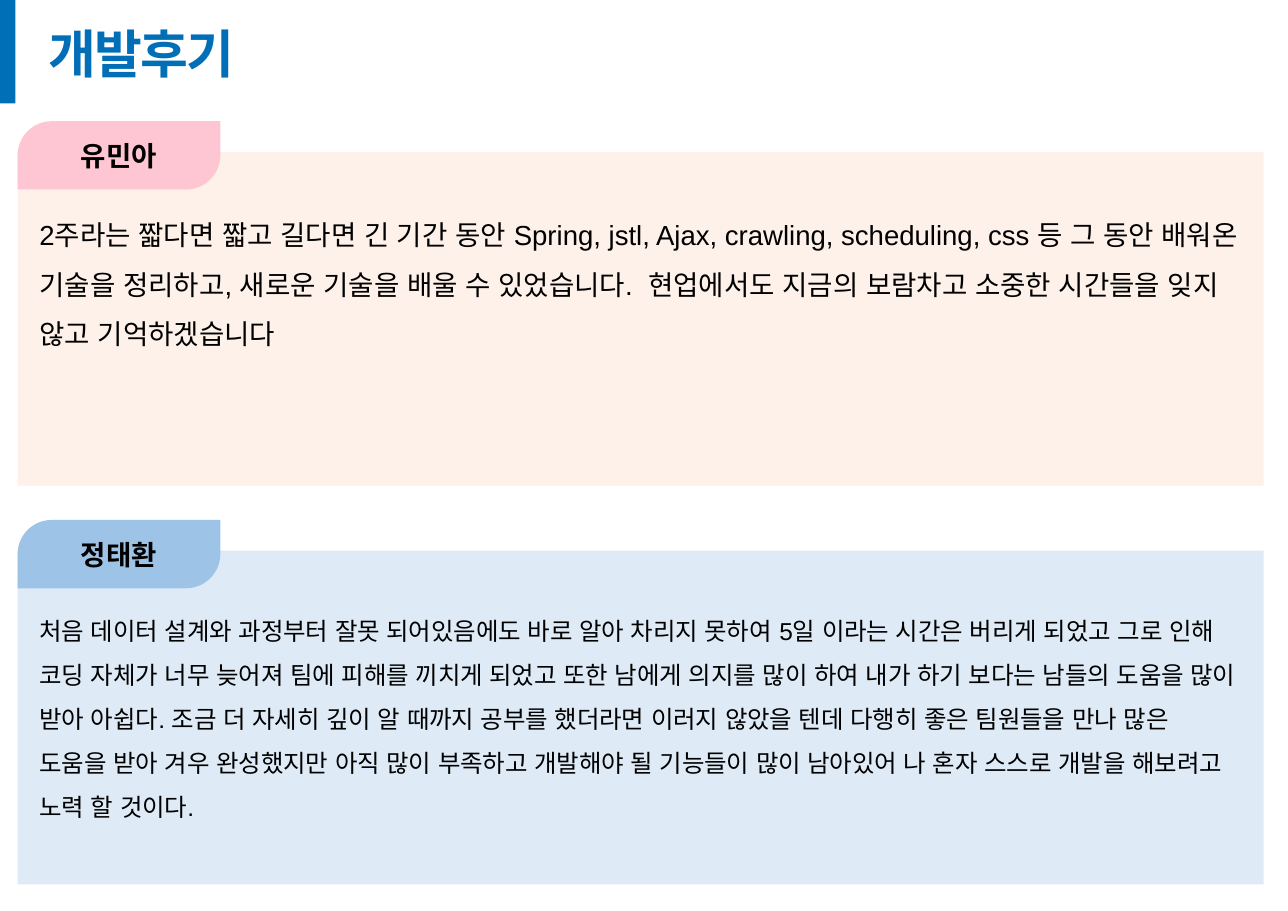
from lxml import etree
from pptx import Presentation
from pptx.dml.color import RGBColor
from pptx.enum.shapes import MSO_SHAPE
from pptx.enum.text import MSO_ANCHOR, PP_ALIGN
from pptx.oxml.ns import qn
from pptx.util import Inches, Pt

RECTANGLE = MSO_SHAPE.RECTANGLE
TAB_SHAPE = MSO_SHAPE.ROUND_2_DIAG_RECTANGLE
TOP, MIDDLE = MSO_ANCHOR.TOP, MSO_ANCHOR.MIDDLE
LEFT, CENTER = PP_ALIGN.LEFT, PP_ALIGN.CENTER

# Content
TITLE = "개발후기"
REVIEWS = [
    {
        "name": "유민아",
        "text": "2주라는 짧다면 짧고 길다면 긴 기간 동안 Spring, jstl, Ajax, crawling, "
                "scheduling, css 등 그 동안 배워온 기술을 정리하고, 새로운 기술을 배울 수 "
                "있었습니다.  현업에서도 지금의 보람차고 소중한 시간들을 잊지 않고 "
                "기억하겠습니다",
        "style": "pink", "text_offset": 0.68, "text_height": 1.41,
    },
    {
        "name": "정태환",
        "text": "처음 데이터 설계와 과정부터 잘못 되어있음에도 바로 알아 차리지 못하여 "
                "5일 이라는 시간은 버리게 되었고 그로 인해 코딩 자체가 너무 늦어져 팀에 "
                "피해를 끼치게 되었고 또한 남에게 의지를 많이 하여 내가 하기 보다는 남들의 "
                "도움을 많이 받아 아쉽다. 조금 더 자세히 깊이 알 때까지 공부를 했더라면 "
                "이러지 않았을 텐데 다행히 좋은 팀원들을 만나 많은 도움을 받아 겨우 "
                "완성했지만 아직 많이 부족하고 개발해야 될 기능들이 많이 남아있어 나 혼자 "
                "스스로 개발을 해보려고 노력 할 것이다.",
        "style": "blue", "text_offset": 0.69, "text_height": 2.07,
    },
]

# Theme
THEME = {
    "accent": "016FB8",
    "pink": {"tab": "FEC6D3", "panel": "FDF1E9", "size": 18},
    "blue": {"tab": "9DC3E6", "panel": "DEEBF7", "size": 16},
    "title": {"name": "Arial", "size": 34, "bold": True, "color": "016FB8"},
    "tab": {"name": "Calibri", "size": 18, "bold": True, "color": "000000"},
    "body": {"name": "Arial", "bold": False, "color": "000000"},
}

# Layout in inches
FIRST_TOP, REVIEW_STEP = 1.1, 3.62
PANEL_LEFT, PANEL_WIDTH, PANEL_HEIGHT, PANEL_DROP = 0.16, 11.31, 3.03, 0.28
TAB_WIDTH, TAB_HEIGHT = 1.84, 0.62
TEXT_INSET = 0.1


def add_block(page, kind, area, fill):
    block = page.shapes.add_shape(kind, *map(Inches, area))
    block.shadow.inherit = False
    block.fill.solid()
    block.fill.fore_color.rgb = RGBColor.from_string(fill)
    block.line.fill.background()
    return block


def write(box, text, style, align=LEFT, anchor=TOP, spacing=1.0, wrap=True):
    frame = box.text_frame
    frame.word_wrap = wrap
    frame.vertical_anchor = anchor
    para = frame.paragraphs[0]
    para.alignment = align
    para.line_spacing = spacing
    span = para.add_run()
    span.text = text
    formats = {"name": style["name"], "size": Pt(style["size"]), "bold": style["bold"]}
    for key, value in formats.items():
        setattr(span.font, key, value)
    span.font.color.rgb = RGBColor.from_string(style["color"])
    # Same typeface for Hangul, so that spaces keep its width
    etree.SubElement(span.font._element, qn("a:ea"), typeface=style["name"])
    return span


def add_title(page):
    add_block(page, RECTANGLE, (0, 0, 0.14, 0.94), THEME["accent"])
    box = page.shapes.add_textbox(*map(Inches, (0.34, 0.2, 2.05, 0.62)))
    span = write(box, TITLE, THEME["title"], anchor=MIDDLE, spacing=0.9, wrap=False)
    span.font._element.set("spc", "-110")  # tight letter spacing


def add_review(page, review, top):
    style = THEME[review["style"]]

    # Panel and name tab
    add_block(page, RECTANGLE,
              (PANEL_LEFT, top + PANEL_DROP, PANEL_WIDTH, PANEL_HEIGHT), style["panel"])
    tab = add_block(page, TAB_SHAPE, (PANEL_LEFT, top, TAB_WIDTH, TAB_HEIGHT), style["tab"])
    tab.adjustments[0] = 0.5
    tab.adjustments[1] = 0
    write(tab, review["name"], THEME["tab"], align=CENTER, anchor=MIDDLE)

    # Review text
    area = (PANEL_LEFT + TEXT_INSET, top + review["text_offset"],
            PANEL_WIDTH - 2 * TEXT_INSET, review["text_height"])
    box = page.shapes.add_textbox(*map(Inches, area))
    write(box, review["text"], {**THEME["body"], "size": style["size"]}, spacing=1.5)


def main():
    deck = Presentation()
    deck.slide_width, deck.slide_height = Inches(11.69), Inches(8.27)
    page = deck.slides.add_slide(deck.slide_layouts[6])
    add_title(page)
    for index, review in enumerate(REVIEWS):
        add_review(page, review, FIRST_TOP + index * REVIEW_STEP)
    deck.save("out.pptx")


if __name__ == "__main__":
    main()
